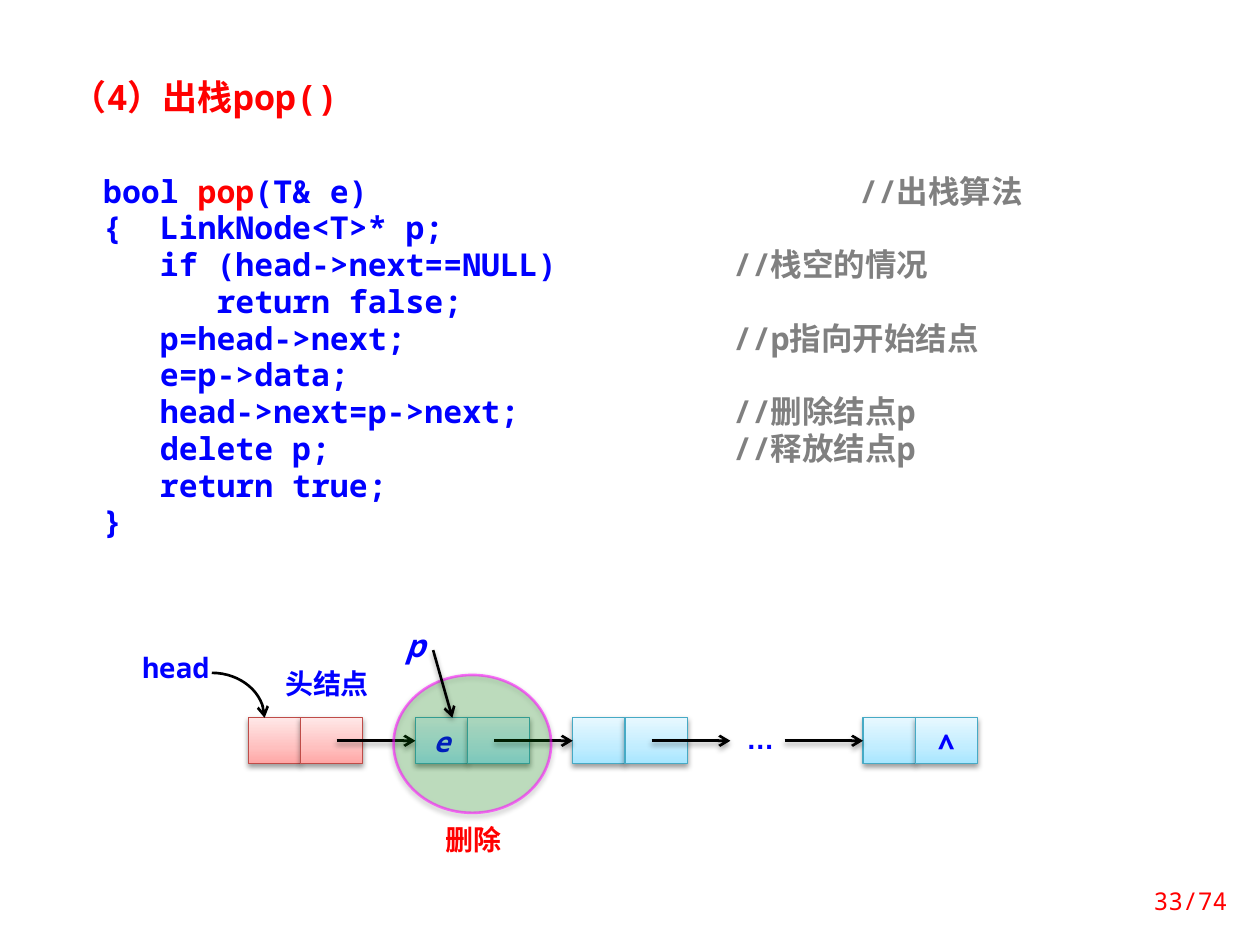
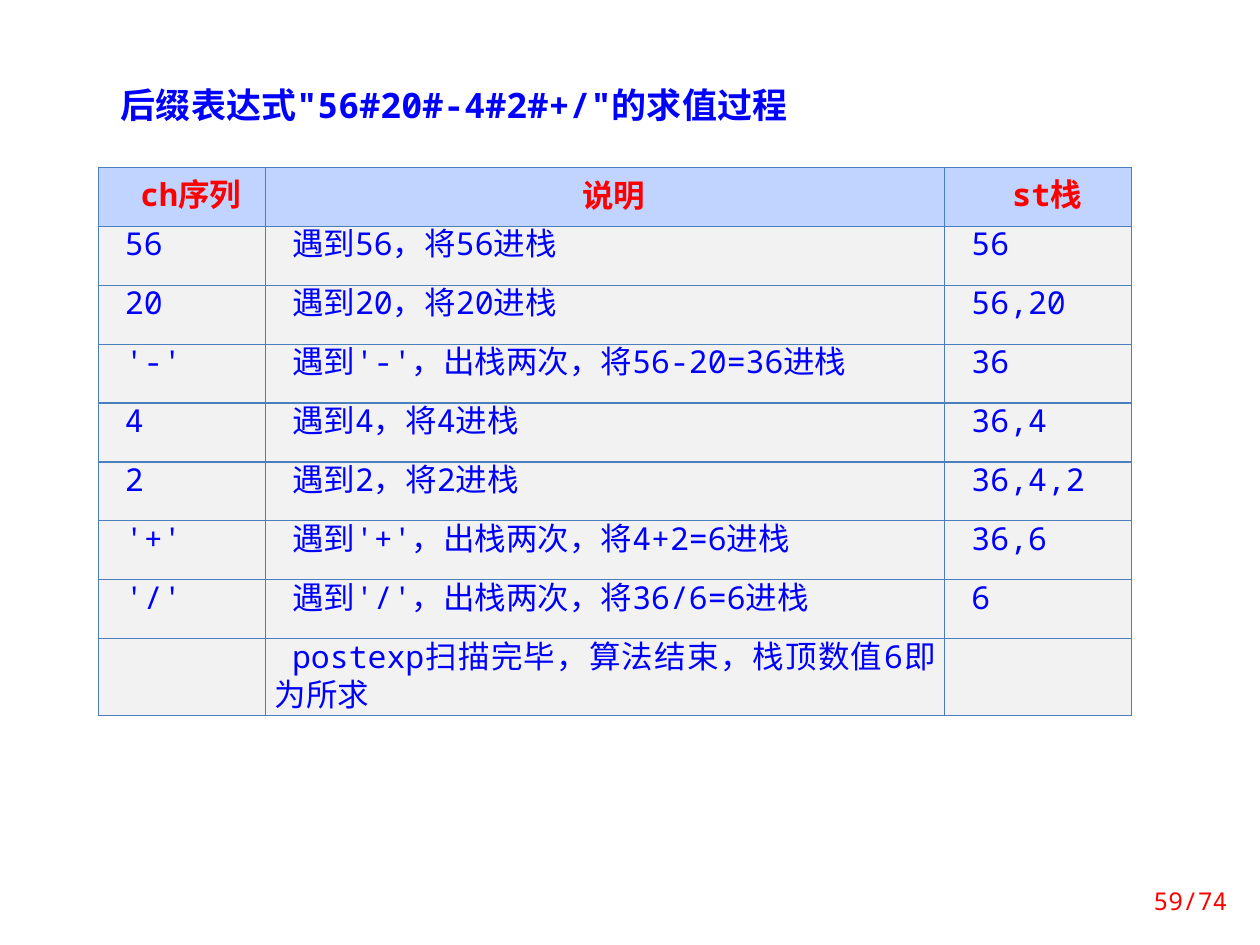
from dataclasses import dataclass, replace
from typing import NamedTuple

from lxml import etree
from pptx import Presentation
from pptx import util as u
from pptx.dml.color import RGBColor
from pptx.enum import shapes, text
from pptx.oxml import parse_xml
from pptx.oxml.ns import qn

Pt = u.Pt
NS = 'xmlns:a="http://schemas.openxmlformats.org/drawingml/2006/main"'


@dataclass(frozen=True)
class Theme:
    mono: str = "Noto Sans Mono"
    cjk: str = "Noto Sans CJK SC"
    sans: str = "Arial"
    red: str = "FF0000"
    blue: str = "0000FF"
    gray: str = "808080"
    black: str = "000000"
    white: str = "FFFFFF"
    header: str = "C0D4FF"
    body: str = "F2F2F2"
    border: str = "4B7EBC"
    mark: str = "009900"
    mark_line: str = "FF00FF"
    title_size: float = 20
    code_size: float = 18
    label_size: float = 16
    page_size: float = 14


T = Theme()


@dataclass(frozen=True)
class Style:
    size: float
    color: str = T.blue
    bold: bool = True
    italic: bool = False
    font: str = T.mono


CODE = Style(T.code_size)
LABEL = Style(T.label_size)


class Box(NamedTuple):
    left: float
    top: float
    width: float
    height: float

    def lengths(self) -> tuple:
        return tuple(Pt(value) for value in self)


class Palette(NamedTuple):
    dark: str
    middle: str
    light: str
    line: str


PINK = Palette("FFA6A5", "FFC0BF", "FFE7E7", "BF4C48")
CYAN = Palette("A7E6FF", "C1EDFF", "E7F8FF", "46AAC5")


class Node(NamedTuple):
    left: float
    palette: Palette
    data: str = ""
    link: str = ""


class Arrow(NamedTuple):
    start: float
    end: float
    target: int | None = None


class CodeLine(NamedTuple):
    code: str
    comment: str = ""
    stop: float = 360


# Text helpers
def rgb(color: str) -> RGBColor:
    return RGBColor.from_string(color)


def add_run(paragraph, words: str, style: Style) -> None:
    run = paragraph.add_run()
    run.text = words
    font = run.font
    font.size, font.bold, font.italic = Pt(style.size), style.bold, style.italic
    font.name = style.font
    font.color.rgb = rgb(style.color)
    etree.SubElement(run._r.get_or_add_rPr(), qn("a:ea"), typeface=T.cjk)


def set_frame(frame, insets=(7.2, 3.6, 7.2, 3.6), anchor=text.MSO_ANCHOR.TOP) -> None:
    frame.word_wrap = True
    frame.auto_size = text.MSO_AUTO_SIZE.NONE
    frame.vertical_anchor = anchor
    (frame.margin_left, frame.margin_top,
     frame.margin_right, frame.margin_bottom) = map(Pt, insets)


def add_label(slide, box: Box, words: str, style: Style, align=text.PP_ALIGN.LEFT,
              tight: bool = False, anchor=text.MSO_ANCHOR.TOP) -> None:
    label = slide.shapes.add_textbox(*box.lengths())
    if tight:
        fill_solid(label, T.white)
        set_frame(label.text_frame, (0, 0, 0, 0), anchor)
    else:
        set_frame(label.text_frame, anchor=anchor)
    paragraph = label.text_frame.paragraphs[0]
    paragraph.alignment = align
    add_run(paragraph, words, style)


# Shape helpers
def fill_solid(shape, color: str) -> None:
    shape.fill.solid()
    shape.fill.fore_color.rgb = rgb(color)


def set_line(shape, color: str, width: float, arrow: bool = False) -> None:
    shape.line.color.rgb = rgb(color)
    shape.line.width = Pt(width)
    if arrow:
        etree.SubElement(shape.line._get_or_add_ln(), qn("a:tailEnd"), type="arrow")


def set_alpha(fill, percent: int) -> None:
    color = fill._xPr.find(f"{qn('a:solidFill')}/{qn('a:srgbClr')}")
    etree.SubElement(color, qn("a:alpha"), val=str(percent * 1000))


def add_shadow(shape) -> None:
    shape._element.spPr.append(parse_xml(
        f'<a:effectLst {NS}><a:outerShdw blurRad="{Pt(3.1)}" dist="{Pt(1.6)}" '
        f'dir="5400000" rotWithShape="0"><a:srgbClr val="{T.black}">'
        '<a:alpha val="38000"/></a:srgbClr></a:outerShdw></a:effectLst>'))


def fill_gradient(shape, palette: Palette) -> None:
    stops = "".join(f'<a:gs pos="{pos * 1000}"><a:srgbClr val="{color}"/></a:gs>'
                    for pos, color in zip((0, 35, 100), palette))
    properties = shape._element.spPr
    properties.find(qn("a:prstGeom")).addnext(parse_xml(
        f'<a:gradFill {NS} rotWithShape="1"><a:gsLst>{stops}</a:gsLst>'
        '<a:lin ang="16200000" scaled="0"/></a:gradFill>'))


def add_arrow(slide, start: tuple, end: tuple, target=None) -> None:
    arrow = slide.shapes.add_connector(shapes.MSO_CONNECTOR.STRAIGHT,
                                       *map(Pt, (*start, *end)))
    if target is not None:
        arrow.end_connect(target, 1)
    set_line(arrow, T.black, 1.5, arrow=True)
    add_shadow(arrow)


# Parts shared by the slides
def add_page(deck, heading: str, color: str, box: Box, number: int):
    slide = deck.slides.add_slide(deck.slide_layouts[5])
    title = slide.shapes.title
    title.left, title.top, title.width, title.height = box.lengths()
    set_frame(title.text_frame)
    paragraph = title.text_frame.paragraphs[0]
    paragraph.alignment = text.PP_ALIGN.LEFT
    add_run(paragraph, heading, Style(T.title_size, color))
    add_label(slide, Box(638, 500.4, 70.5, 28.8), f"{number}/74",
              Style(T.page_size, T.red, bold=False), text.PP_ALIGN.RIGHT,
              anchor=text.MSO_ANCHOR.MIDDLE)
    return slide


# Slide 1: code and linked list
POP_CODE = (
    CodeLine("bool pop(T& e)", "//出栈算法", 432),
    CodeLine("{  LinkNode<T>* p;"),
    CodeLine("   if (head->next==NULL)", "//栈空的情况"),
    CodeLine("      return false;"),
    CodeLine("   p=head->next;", "//p指向开始结点"),
    CodeLine("   e=p->data;"),
    CodeLine("   head->next=p->next;", "//删除结点p"),
    CodeLine("   delete p;", "//释放结点p"),
    CodeLine("   return true;"),
    CodeLine("}"),
)
NODES = (Node(141.9, PINK), Node(237.4, CYAN, "e"),
         Node(327.3, CYAN), Node(493.2, CYAN, link="∧"))
ARROWS = (Arrow(192.4, 237.4, 1), Arrow(282.4, 327.3, 2),
          Arrow(372.4, 417.4), Arrow(448.3, 493.2, 3))
NODE_TOP, NODE_HEIGHT = 410.2, 26.2
DATA_WIDTH, LINK_WIDTH = 29.8, 35.6


def add_code(slide) -> None:
    listing = slide.shapes.add_textbox(*Box(44.6, 90, 624.2, 229).lengths())
    fill_solid(listing, T.white)
    frame = listing.text_frame
    set_frame(frame, (14.4, 8.64, 7.2, 8.64))
    for row, line in enumerate(POP_CODE):
        paragraph = frame.add_paragraph() if row else frame.paragraphs[0]
        paragraph.line_spacing = Pt(21)
        before, name, after = line.code.partition("pop")
        if line.comment:
            after += "\t"
            tabs = etree.SubElement(paragraph._p.get_or_add_pPr(), qn("a:tabLst"))
            etree.SubElement(tabs, qn("a:tab"), pos=str(Pt(line.stop)), algn="l")
        for words, color in ((before, T.blue), (name, T.red),
                             (after, T.blue), (line.comment, T.gray)):
            if words:
                add_run(paragraph, words, replace(CODE, color=color))


def add_field(slide, left: float, width: float, palette: Palette, words: str):
    field = slide.shapes.add_shape(shapes.MSO_SHAPE.RECTANGLE,
                                   *Box(left, NODE_TOP, width, NODE_HEIGHT).lengths())
    fill_gradient(field, palette)
    set_line(field, palette.line, 0.75)
    add_shadow(field)
    if words:
        set_frame(field.text_frame, (0, 0, 0, 0))
        paragraph = field.text_frame.paragraphs[0]
        paragraph.alignment = text.PP_ALIGN.CENTER
        paragraph.line_spacing = Pt(23)
        add_run(paragraph, words, replace(LABEL, italic=words == "e"))
    return field


def add_head_pointer(slide) -> None:
    """Quarter arc from the head label down to the head node."""
    left, top, width, height, steps = 121, 384.5, 30.2, 25.7, 16
    points = []
    for step in range(steps + 1):
        t = step / steps
        across = 3 * t * (1 - t) ** 2 * 0.55 + 3 * t ** 2 * (1 - t) + t ** 3
        down = 3 * t ** 2 * (1 - t) * 0.45 + t ** 3
        points.append((Pt(left + width * across), Pt(top + height * down)))
    builder = slide.shapes.build_freeform(*points[0])
    builder.add_line_segments(points[1:], close=False)
    pointer = builder.convert_to_shape()
    pointer.fill.background()
    set_line(pointer, T.black, 1.5, arrow=True)
    pointer.shadow.inherit = False


def add_linked_list(slide) -> None:
    center = text.PP_ALIGN.CENTER
    add_label(slide, Box(416.9, 412.6, 35.3, 25.9), "…",
              replace(LABEL, font=T.sans), center, tight=True)
    add_label(slide, Box(78.5, 371.5, 43.9, 26.6), "head", LABEL, center, tight=True)
    add_label(slide, Box(157, 380.9, 59.8, 25.9), "头结点", LABEL, center, tight=True)
    data_fields = []
    for node in NODES:
        data_fields.append(add_field(slide, node.left, DATA_WIDTH, node.palette, node.data))
        add_field(slide, node.left + DATA_WIDTH, LINK_WIDTH, node.palette, node.link)
    add_head_pointer(slide)
    middle = NODE_TOP + NODE_HEIGHT / 2
    for arrow in ARROWS:
        target = None if arrow.target is None else data_fields[arrow.target]
        add_arrow(slide, (arrow.start, middle), (arrow.end, middle), target)

    # Deleted node
    mark = slide.shapes.add_shape(shapes.MSO_SHAPE.OVAL,
                                  *Box(224.9, 385.7, 90, 78.8).lengths())
    fill_solid(mark, T.mark)
    set_alpha(mark.fill, 20)
    set_line(mark, T.mark_line, 1.5)
    set_alpha(mark.line.fill, 54)
    add_shadow(mark)
    add_label(slide, Box(247.3, 466.6, 50.4, 26.6), "删除",
              Style(T.label_size, T.red, font=T.cjk))
    add_arrow(slide, (247.5, 371.5), (258.5, NODE_TOP))
    add_label(slide, Box(224.9, 354.2, 22.3, 28.8), "p", replace(CODE, italic=True))


# Slide 2: evaluation table
STEPS = (
    ("ch序列", "说明", "st栈"),
    ("56", "遇到56，将56进栈", "56"),
    ("20", "遇到20，将20进栈", "56,20"),
    ("'-'", "遇到'-'，出栈两次，将56-20=36进栈", "36"),
    ("4", "遇到4，将4进栈", "36,4"),
    ("2", "遇到2，将2进栈", "36,4,2"),
    ("'+'", "遇到'+'，出栈两次，将4+2=6进栈", "36,6"),
    ("'/'", "遇到'/'，出栈两次，将36/6=6进栈", "6"),
    ("", "postexp扫描完毕，算法结束，栈顶数值6即为所求", ""),
)
COLUMN_WIDTHS = (95.5, 388.2, 106.8)
ROW_HEIGHTS = (33.7,) * 8 + (44,)


def format_cell(cell, words: str, is_header: bool) -> None:
    for side in "LRTB":
        cell._tc.get_or_add_tcPr().append(parse_xml(
            f'<a:ln{side} {NS} w="{Pt(0.75)}"><a:solidFill><a:srgbClr val="{T.border}"/>'
            f'</a:solidFill></a:ln{side}>'))
    fill_solid(cell, T.header if is_header else T.body)
    cell.margin_left = cell.margin_right = Pt(5.2)
    cell.margin_top = cell.margin_bottom = 0
    cell.vertical_anchor = text.MSO_ANCHOR.MIDDLE if is_header else text.MSO_ANCHOR.TOP
    paragraph = cell.text_frame.paragraphs[0]
    paragraph.alignment = text.PP_ALIGN.CENTER if is_header else text.PP_ALIGN.JUSTIFY
    paragraph.line_spacing = Pt(22)
    paragraph._p.get_or_add_pPr().set("indent", str(Pt(10)))
    if words:
        add_run(paragraph, words,
                replace(CODE, color=T.red if is_header else T.blue, bold=is_header))


def add_steps(slide) -> None:
    box = Box(56.2, 95.6, sum(COLUMN_WIDTHS), sum(ROW_HEIGHTS))
    table = slide.shapes.add_table(len(STEPS), len(COLUMN_WIDTHS), *box.lengths()).table
    table.first_row = table.horz_banding = False
    for column, width in zip(table.columns, COLUMN_WIDTHS):
        column.width = Pt(width)
    for index, (row, height) in enumerate(zip(table.rows, ROW_HEIGHTS)):
        row.height = Pt(height)
        for cell, words in zip(row.cells, STEPS[index]):
            format_cell(cell, words, index == 0)


def main() -> None:
    deck = Presentation()
    deck.slide_width, deck.slide_height = Pt(720), Pt(540)
    pop = add_page(deck, "（4）出栈pop()", T.red, Box(33.8, 39.6, 191.5, 31.7), 33)
    add_code(pop)
    add_linked_list(pop)
    evaluation = add_page(deck, "后缀表达式\"56#20#-4#2#+/\"的求值过程", T.blue,
                          Box(61.9, 43.9, 455.8, 31.7), 59)
    add_steps(evaluation)
    deck.save("out.pptx")


if __name__ == "__main__":
    main()
